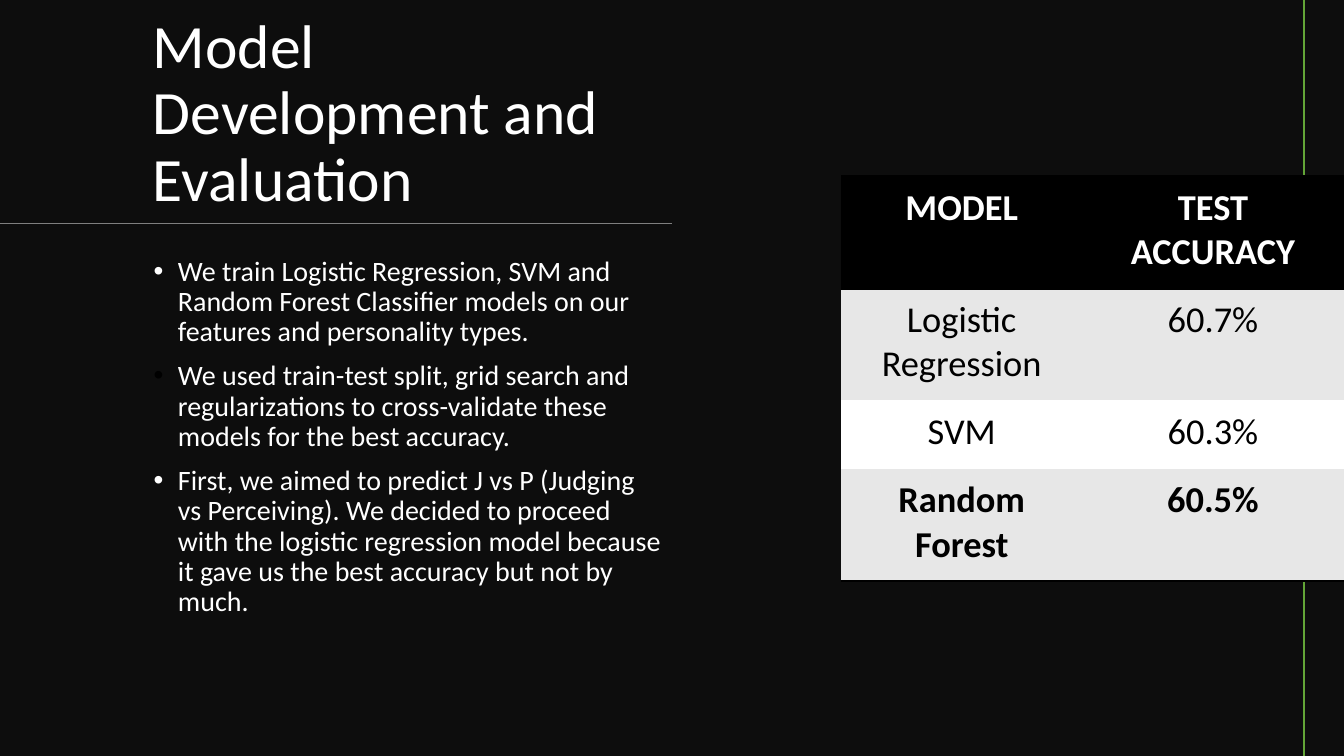
import pptx
import pptx.util
import pptx.dml.color
import pptx.enum.text
import pptx.enum.shapes
import pptx.oxml
import pptx.oxml.ns
from lxml import etree
from dataclasses import dataclass

Pt = pptx.util.Pt
qn = pptx.oxml.ns.qn
ALIGN = pptx.enum.text.PP_ALIGN

TITLE = "Model Development and Evaluation"
POINTS = [
    ("We train Logistic Regression, SVM and Random Forest Classifier models on our features and personality types.", "FFFFFF"),
    ("We used train-test split, grid search and regularizations to cross-validate these models for the best accuracy.", "000000"),
    ("First, we aimed to predict J vs P (Judging vs Perceiving). We decided to proceed with the logistic regression model because it gave us the best accuracy but not by much.", "FFFFFF"),
]
ROWS = [
    ("MODEL", "TEST ACCURACY"),
    ("Logistic Regression", "60.7%"),
    ("SVM", "60.3%"),
    ("Random Forest", "60.5%"),
]
BOLD = {0, 3}
COLS = [172, 187]
HIGH = [80, 80, 49, 80]


@dataclass(frozen=True)
class Theme:
    font: str = "Calibri"
    back: str = "0D0D0D"
    light: str = "FFFFFF"
    dark: str = "000000"
    band: str = "E7E7E7"
    green: str = "63A537"
    gray: str = "7F7F7F"
    head: int = 44
    body: int = 20
    cell: int = 26


T = Theme()
W, H = 960, 540
LEFT, WIDE = 102, 378
PLAIN = "{2D5ABB26-0587-4C30-8999-92F81FD0307C}"


def rgb(code):
    return pptx.dml.color.RGBColor.from_string(code)


def style(para, size, color, bold=False):
    font = para.font
    font.name, font.size, font.bold = T.font, Pt(size), bold
    font.color.rgb = rgb(color)


def place(shape, x, y, w, h):
    shape.left, shape.top, shape.width, shape.height = map(Pt, (x, y, w, h))


def rule(slide, x1, y1, x2, y2, color):
    kind = pptx.enum.shapes.MSO_CONNECTOR.STRAIGHT
    line = slide.shapes.add_connector(kind, *map(Pt, (x1, y1, x2, y2)))
    line.line.color.rgb = rgb(color)
    line.line.width = Pt(1)
    etree.SubElement(line._element.spPr, qn("a:effectLst"))


def bullet(para, color):
    props = para._p.get_or_add_pPr()
    props.set("marL", str(Pt(18)))
    props.set("indent", str(Pt(-17.28)))
    tint = etree.SubElement(props, qn("a:buClr"))
    etree.SubElement(tint, qn("a:srgbClr"), val=color)
    etree.SubElement(props, qn("a:buFont"), typeface="Arial")
    etree.SubElement(props, qn("a:buChar"), char="•")


def edge(cell, side):
    props = cell._tc.get_or_add_tcPr()
    line = etree.SubElement(props, qn("a:" + side), w=str(Pt(2)))
    fill = etree.SubElement(line, qn("a:solidFill"))
    etree.SubElement(fill, qn("a:srgbClr"), val=T.dark)


def add_title(slide):
    title = slide.shapes.title
    place(title, LEFT, 52.5, WIDE, 104.5)
    frame = title.text_frame
    frame.text = TITLE
    frame.word_wrap = True
    frame.auto_size = pptx.enum.text.MSO_AUTO_SIZE.NONE
    frame.vertical_anchor = pptx.enum.text.MSO_ANCHOR.BOTTOM
    para = frame.paragraphs[0]
    para.alignment = ALIGN.LEFT
    para.line_spacing = 0.9
    style(para, T.head, T.light)


def add_body(slide):
    box = slide.shapes.add_textbox(*map(Pt, (LEFT, 180, WIDE, 292)))
    frame = box.text_frame
    frame.word_wrap = True
    for i, (text, color) in enumerate(POINTS):
        para = frame.add_paragraph() if i else frame.paragraphs[0]
        para.text = text
        bullet(para, color)
        para.line_spacing = 0.9
        if i:
            para.space_before = Pt(10)
        style(para, T.body, T.light)


def add_scores(slide):
    spot = map(Pt, (W - sum(COLS), 126, sum(COLS), sum(HIGH)))
    table = slide.shapes.add_table(len(ROWS), len(COLS), *spot).table
    table._tbl.tblPr.find(qn("a:tableStyleId")).text = PLAIN
    for col, wide in zip(table.columns, COLS):
        col.width = Pt(wide)
    for r, row in enumerate(ROWS):
        table.rows[r].height = Pt(HIGH[r])
        fill = T.dark if r == 0 else T.band if r % 2 else T.light
        for c, text in enumerate(row):
            cell = table.cell(r, c)
            cell.text = text
            cell.margin_left = cell.margin_right = Pt(13)
            cell.margin_top = cell.margin_bottom = Pt(6.5)
            if r == 0:
                edge(cell, "lnT")
            if r in (0, len(ROWS) - 1):
                edge(cell, "lnB")
            cell.fill.solid()
            cell.fill.fore_color.rgb = rgb(fill)
            para = cell.text_frame.paragraphs[0]
            para.alignment = ALIGN.CENTER
            style(para, T.cell, T.dark if r else T.light, r in BOLD)


def main():
    deck = pptx.Presentation()
    deck.slide_width, deck.slide_height = Pt(W), Pt(H)
    slide = deck.slides.add_slide(deck.slide_layouts[5])
    slide.background.fill.solid()
    slide.background.fill.fore_color.rgb = rgb(T.back)
    add_title(slide)
    rule(slide, W / 2, 159.5, 0, 159.5, T.gray)
    add_body(slide)
    rule(slide, 931.5, 0, 931.5, H, T.green)
    add_scores(slide)
    deck.save("out.pptx")


if __name__ == "__main__":
    main()
